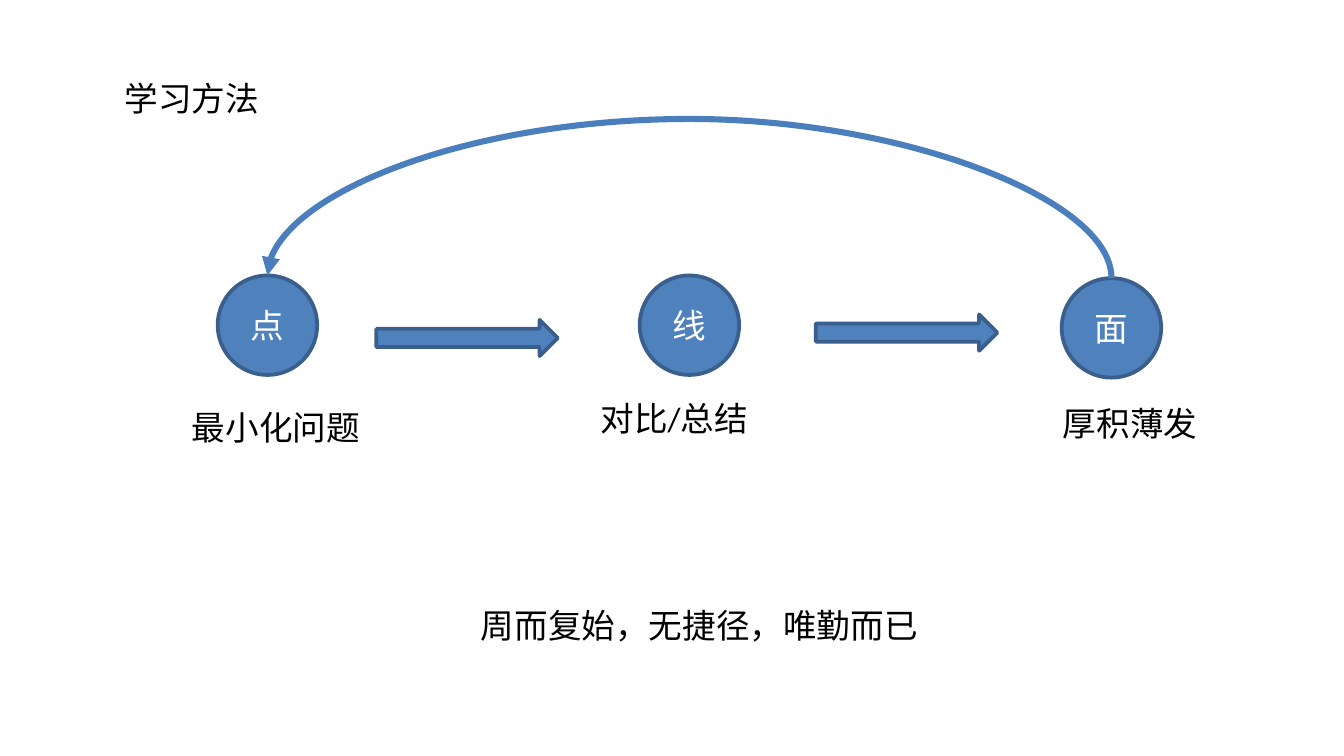
from dataclasses import dataclass

from lxml.etree import SubElement
from pptx import Presentation
from pptx.dml.color import RGBColor
from pptx.enum.shapes import MSO_CONNECTOR as Link, MSO_SHAPE as Preset
from pptx.enum.text import MSO_ANCHOR as Anchor, MSO_AUTO_SIZE as AutoSize, PP_ALIGN as Align
from pptx.oxml.ns import qn
from pptx.shapes.autoshape import Shape
from pptx.shapes.connector import Connector
from pptx.slide import Slide
from pptx.util import Inches, Pt

BLUE = RGBColor(0x4F, 0x81, 0xBD)
OUTLINE = RGBColor(0x3A, 0x5F, 0x8C)
CURVE_BLUE = RGBColor(0x4B, 0x7E, 0xBC)
BLACK = RGBColor(0, 0, 0)
WHITE = RGBColor(0xFF, 0xFF, 0xFF)
FONT = "Calibri"
SLIDE_WIDTH = 10
DIAMETER = 0.74
CURVE_RISE = 1.18


@dataclass(frozen=True)
class Item:
    left: float
    top: float
    width: float
    height: float
    text: str = ""


STAGES = [
    Item(1.62 + 3.14 * index, top, DIAMETER, DIAMETER, text)
    for index, (top, text) in enumerate([(2.05, "点"), (2.05, "线"), (2.07, "面")])
]
ARROWS = [Item(2.8, 2.38, 1.35, 0.27), Item(6.07, 2.34, 1.35, 0.27)]
LABELS = [
    Item(0.83, 0.53, 1.21, 0.4, "学习方法"),
    Item(1.33, 2.98, 1.61, 0.44, "最小化问题"),
    Item(4.37, 2.91, 1.44, 0.44, "对比/总结"),
    Item(7.81, 2.95, 1.36, 0.44, "厚积薄发"),
    Item(3.48, 4.45, 3.48, 0.4, "周而复始，无捷径，唯勤而已"),
]


def write_text(box: Shape, text: str, color: RGBColor, align: Align) -> None:
    para = box.text_frame.paragraphs[0]
    para.text = text
    para.alignment = align
    para.font.name = FONT
    para.font.size = Pt(18)
    para.font.color.rgb = color


def add_label(page: Slide, item: Item) -> None:
    box = page.shapes.add_textbox(
        Inches(item.left), Inches(item.top), Inches(item.width), Inches(item.height)
    )
    box.text_frame.word_wrap = False
    box.text_frame.auto_size = AutoSize.SHAPE_TO_FIT_TEXT
    write_text(box, item.text, BLACK, Align.LEFT)


def add_block(page: Slide, preset: Preset, item: Item) -> Shape:
    block = page.shapes.add_shape(
        preset, Inches(item.left), Inches(item.top), Inches(item.width), Inches(item.height)
    )
    block.shadow.inherit = False
    block.fill.solid()
    block.fill.fore_color.rgb = BLUE
    block.line.color.rgb = OUTLINE
    block.line.width = Pt(2)
    if item.text:
        block.text_frame.vertical_anchor = Anchor.MIDDLE
        write_text(block, item.text, WHITE, Align.CENTER)
    return block


def add_return_curve(page: Slide, start: Shape, end: Shape) -> Connector:
    curve = page.shapes.add_connector(Link.CURVE, 0, 0, 0, 0)
    curve.begin_connect(start, 0)
    curve.end_connect(end, 0)

    span = start.left - end.left
    drop = start.top - end.top
    center_x = (start.left + end.left + start.width) // 2
    center_y = (start.top + end.top) // 2
    curve.left, curve.top = center_x - drop // 2, center_y - span // 2
    curve.width, curve.height = drop, span

    properties = curve._element.spPr
    frame = properties.find(qn("a:xfrm"))
    frame.attrib.pop("flipH", None)
    frame.set("rot", str(270 * 60000))
    frame.set("flipV", "1")
    adjustments = properties.find(qn("a:prstGeom")).get_or_add_avLst()
    bend = round(Inches(CURVE_RISE) / drop * 100000)
    SubElement(adjustments, qn("a:gd"), name="adj1", fmla=f"val {bend}")

    curve.line.color.rgb = CURVE_BLUE
    curve.line.width = Pt(3.25)
    SubElement(curve.line._get_or_add_ln(), qn("a:tailEnd"), type="triangle")
    SubElement(properties, qn("a:effectLst"))
    return curve


def main() -> None:
    deck = Presentation()
    deck.slide_width = Inches(SLIDE_WIDTH)
    deck.slide_height = Inches(SLIDE_WIDTH * 9 / 16)
    page = deck.slides.add_slide(deck.slide_layouts[6])
    circles = [add_block(page, Preset.OVAL, stage) for stage in STAGES]
    for arrow in ARROWS:
        add_block(page, Preset.RIGHT_ARROW, arrow)
    add_return_curve(page, circles[-1], circles[0])
    for label in LABELS:
        add_label(page, label)
    deck.save("out.pptx")


if __name__ == "__main__":
    main()
